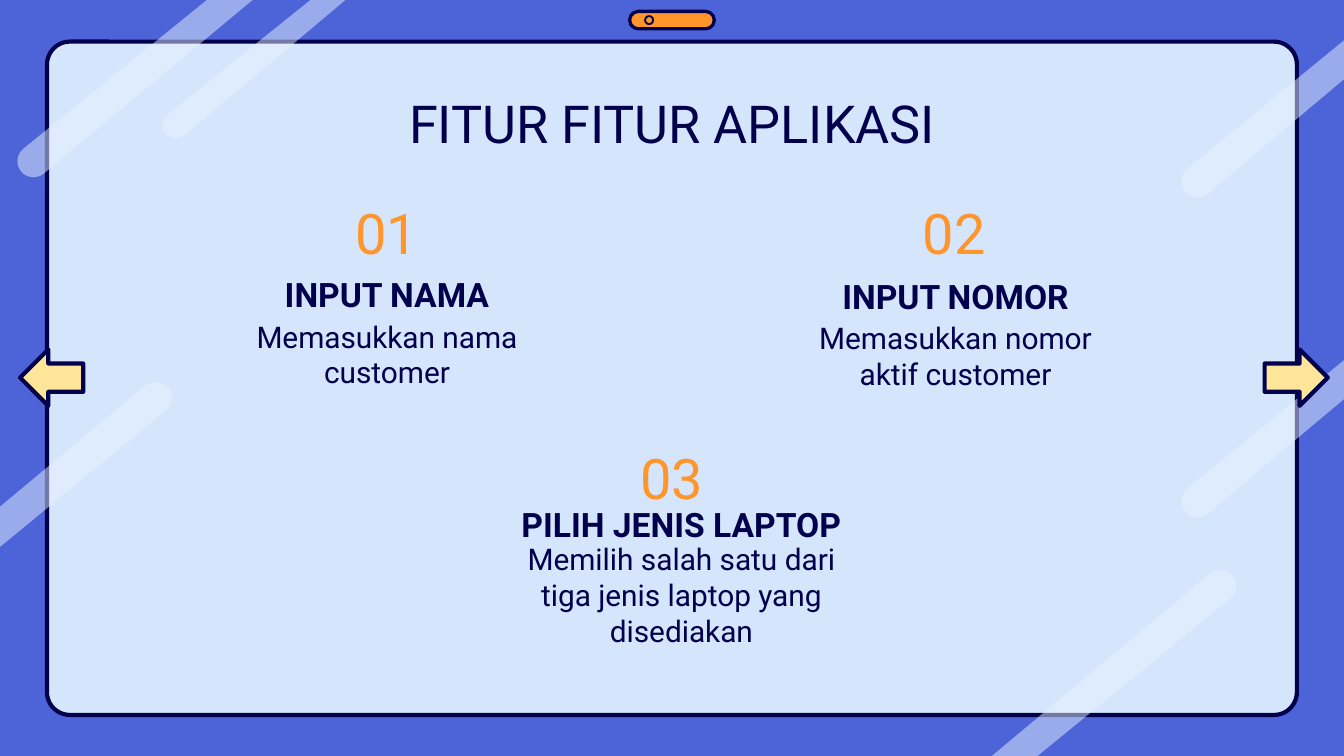
import math
from pptx import Presentation
from pptx import util as u
from pptx.dml.color import RGBColor
from pptx.enum import shapes, text
from pptx.oxml import parse_xml
from pptx.oxml.ns import nsdecls, qn

CELL = u.Inches(0.1)
COLUMNS, ROWS = 100, 56.25
COLORS = {"sky": "4C64D8", "panel": "D5E6FC", "glare": "E9F3FF",
          "ink": "00004D", "orange": "FF952B", "cream": "FFE599"}
KIND = shapes.MSO_SHAPE


class Board:
    font = "Roboto"

    def __init__(self, slide):
        self.slide = slide
        background = slide.background.fill
        background.solid()
        background.fore_color.rgb = self.color("sky")

    def color(self, name):
        return RGBColor.from_string(COLORS[name])

    def cells(self, *counts):
        return [round(count * CELL) for count in counts]

    def paint(self, shape, fill, line):
        shape.shadow.inherit = False
        if fill:
            shape.fill.solid()
            shape.fill.fore_color.rgb = self.color(fill)
        else:
            shape.fill.background()
        if line:
            shape.line.color.rgb = self.color("ink")
            shape.line.width = u.Pt(line)
        else:
            shape.line.fill.background()

    def shape(self, kind, box, fill, line, rounding=None):
        shape = self.slide.shapes.add_shape(kind, *self.cells(*box))
        if rounding is not None:
            shape.adjustments[0] = rounding
        self.paint(shape, fill, line)

    def stripe(self, cap, radius, start, far_ends):
        x, y = cap
        angles = [math.radians(start + step) for step in range(0, 181, 15)]
        outline = [(x + radius * math.cos(a), y + radius * math.sin(a)) for a in angles]
        outline = [self.cells(*point) for point in outline + far_ends]
        builder = self.slide.shapes.build_freeform(*outline[0])
        builder.add_line_segments(outline[1:], close=True)
        stripe = builder.convert_to_shape()
        self.paint(stripe, "glare", None)
        tint = stripe.fill._xPr.find(qn("a:solidFill"))[0]
        tint.append(parse_xml(f'<a:alpha {nsdecls("a")} val="50000"/>'))

    def text(self, words, box, size, color="ink", bold=False,
             anchor=text.MSO_ANCHOR.MIDDLE):
        frame = self.slide.shapes.add_textbox(*self.cells(*box)).text_frame
        frame.word_wrap = True
        frame.vertical_anchor = anchor
        frame.margin_left = frame.margin_right = CELL
        frame.margin_top = frame.margin_bottom = CELL
        frame.text = words
        paragraph = frame.paragraphs[0]
        paragraph.alignment = text.PP_ALIGN.CENTER
        font = paragraph.runs[0].font
        font.name, font.size, font.bold = self.font, u.Pt(size), bold
        font.color.rgb = self.color(color)


deck = Presentation()
deck.slide_width = round(COLUMNS * CELL)
deck.slide_height = round(ROWS * CELL)
board = Board(deck.slides.add_slide(deck.slide_layouts[6]))

board.shape(KIND.ROUNDED_RECTANGLE, (3.5, 3.1, 93, 50.1), "panel", 2.25, 0.034)

RISING, FALLING = 50, 230
stripes = [
    ((2.5, 12), 1.2, RISING, [(15.4, 0), (18.8, 0)]),
    ((13.1, 9.3), 1, RISING, [(23.1, 0), (25.7, 0)]),
    ((90.8, 43.6), 1.2, FALLING, [(77.2, ROWS), (73.8, ROWS)]),
    ((89.1, 37.3), 1.2, RISING, [(COLUMNS, 26.8), (COLUMNS, 29.7)]),
    ((89.1, 13.5), 1.2, RISING, [(COLUMNS, 3), (COLUMNS, 5.9)]),
    ((11.6, 29.6), 1.2, FALLING, [(0, 40.7), (0, 37.7)]),
]
for stripe in stripes:
    board.stripe(*stripe)

board.shape(KIND.ROUNDED_RECTANGLE, (46.85, 0.85, 6.3, 1.3), "orange", 1.75, 0.5)
board.shape(KIND.OVAL, (48, 1.2, 0.6, 0.6), None, 1)

board.text("FITUR FITUR APLIKASI", (7.9, 5.8, 84.2, 6.3), 28,
           anchor=text.MSO_ANCHOR.TOP)

features = [
    ("INPUT NAMA", "Memasukkan nama customer", 28.8, 28.8, (15.2, 19.8, 23.2)),
    ("INPUT NOMOR", "Memasukkan nomor aktif customer", 71, 71.1, (15.2, 19.9, 23.3)),
    ("PILIH JENIS LAPTOP", "Memilih salah satu dari tiga jenis laptop yang disediakan",
     50, 50.7, (33.4, 36.9, 41.1)),
]
for order, (heading, detail, number_center, center, tops) in enumerate(features, 1):
    number_top, heading_top, detail_top = tops
    board.text(f"{order:02}", (number_center - 4, number_top, 8, 4.2), 30, "orange")
    board.text(heading, (center - 17.8, heading_top, 35.6, 4.2), 18, bold=True)
    board.text(detail, (center - 12.95, detail_top, 25.9, 6.3), 16)

for direction, left in ((KIND.LEFT_ARROW, 1.5), (KIND.RIGHT_ARROW, 94.1)):
    board.shape(direction, (left, 26, 4.7, 4.2), "cream", 2.25)

deck.save("out.pptx")
